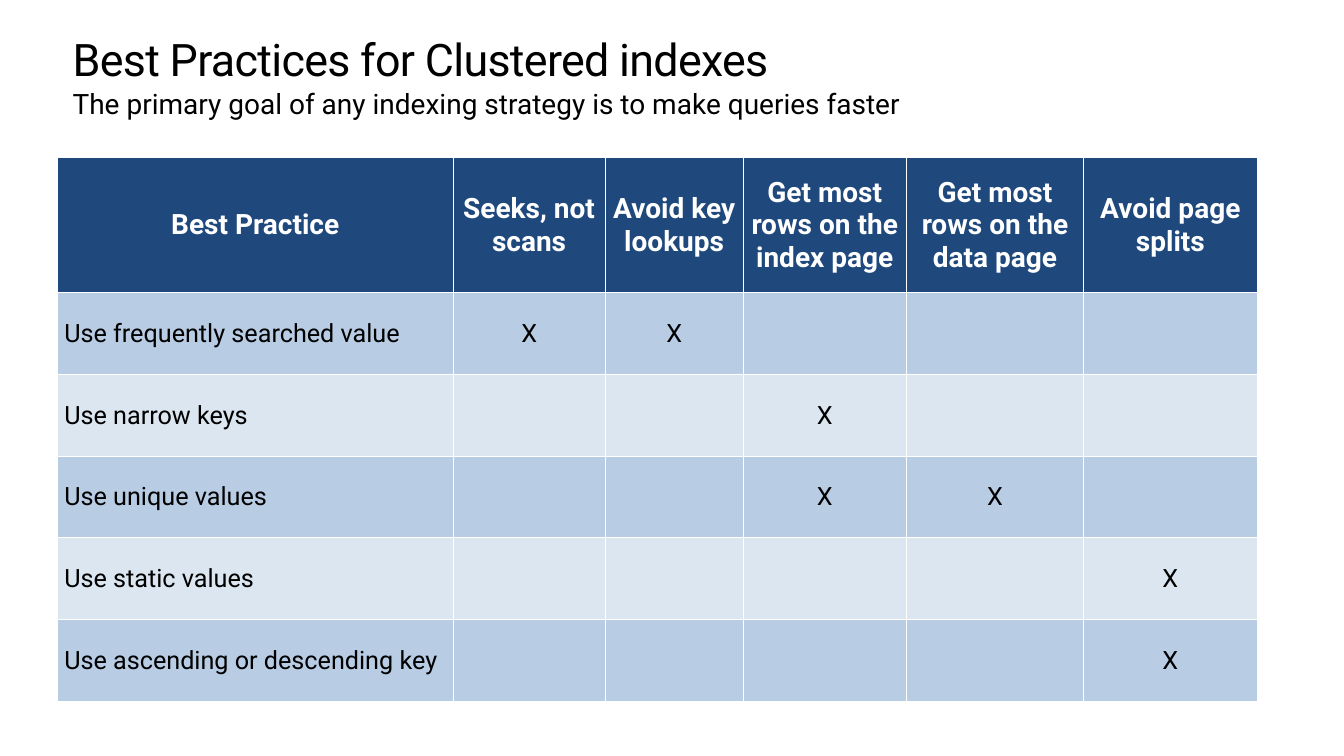
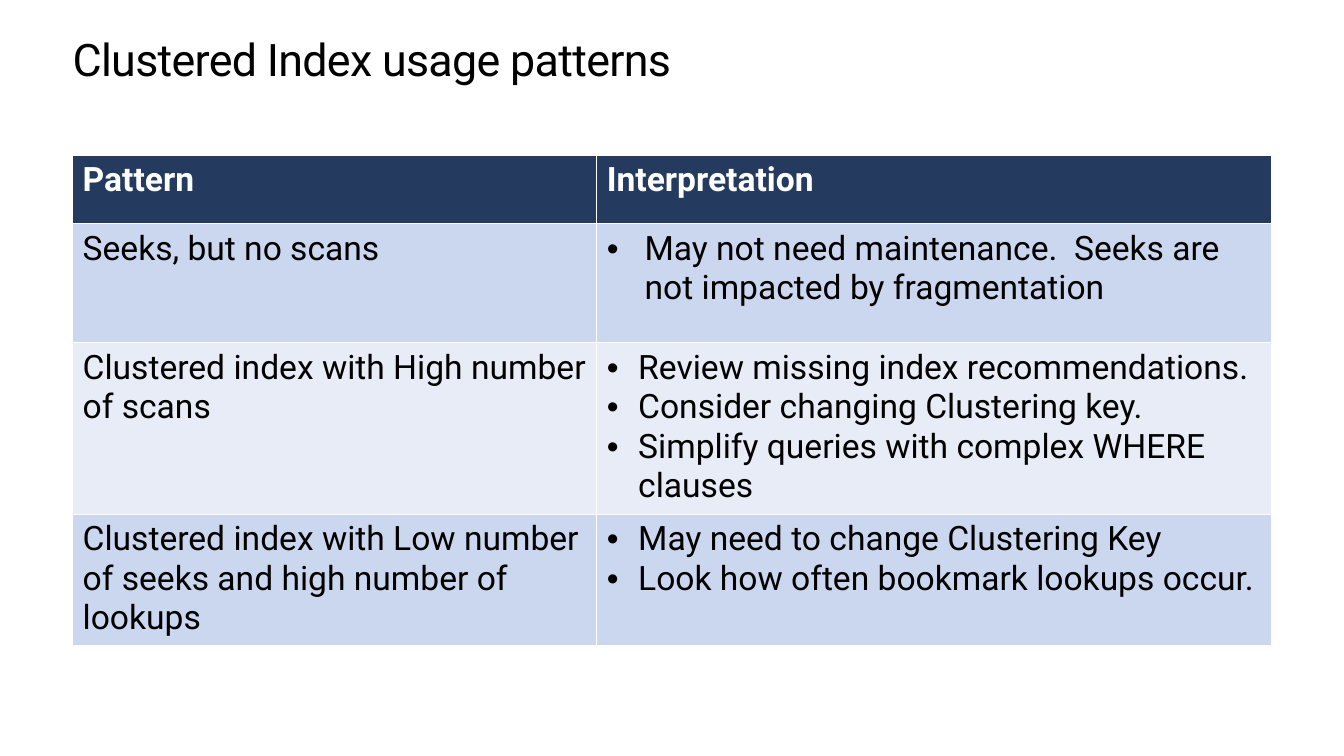
from lxml import etree
from pptx import Presentation
from pptx.dml.color import RGBColor
from pptx.enum import text
from pptx.oxml import ns
from pptx.util import Cm, Pt

FONT = "Roboto"
COLORS = {
    "ink": "000000",
    "paper": "FFFFFF",
    "practice_head": "1F497D",
    "practice_odd": "B8CCE4",
    "practice_even": "DCE6F1",
    "pattern_head": "243A5E",
    "pattern_odd": "CBD6EF",
    "pattern_even": "E7ECF7",
}
LEFT, WIDTH = 1.83, 30.23


def add_heading(slide, words, top, size):
    heading = slide.shapes.add_textbox(Cm(LEFT), Cm(top), Cm(WIDTH), Cm(1.27))
    frame = heading.text_frame
    frame.word_wrap = True
    frame.margin_left = frame.margin_right = frame.margin_top = frame.margin_bottom = 0
    frame.text = words
    run = frame.paragraphs[0].runs[0]
    run.font.name, run.font.size = FONT, Pt(size)
    run.font.color.rgb = RGBColor.from_string(COLORS["ink"])
    return heading


def fill_cell(cell, words, scheme, row, size, border=None):
    cell.text_frame.text = words
    properties = cell._tc.get_or_add_tcPr()
    for side in "LRTB" if border else "":
        line = etree.SubElement(properties, ns.qn(f"a:ln{side}"), w=str(Pt(border)))
        solid = etree.SubElement(line, ns.qn("a:solidFill"))
        etree.SubElement(solid, ns.qn("a:srgbClr"), val=COLORS["paper"])
    shade = "head" if row == 0 else "odd" if row % 2 else "even"
    cell.fill.solid()
    cell.fill.fore_color.rgb = RGBColor.from_string(COLORS[f"{scheme}_{shade}"])
    for paragraph in cell.text_frame.paragraphs:
        for run in paragraph.runs:
            run.font.name, run.font.size, run.font.bold = FONT, Pt(size), row == 0
            run.font.color.rgb = RGBColor.from_string(COLORS["ink" if row else "paper"])


deck = Presentation()
deck.slide_width, deck.slide_height = Cm(33.87), Cm(19.05)
blank = deck.slide_layouts[6]
practice_slide, pattern_slide = [deck.slides.add_slide(blank) for _ in range(2)]
for slide, words in (
    (practice_slide, "Best Practices for Clustered indexes"),
    (pattern_slide, "Clustered Index usage patterns"),
):
    title = add_heading(slide, words, 0.89, 32)
    title.fill.solid()
    title.fill.fore_color.rgb = RGBColor.from_string(COLORS["paper"])
    title.text_frame.auto_size = text.MSO_AUTO_SIZE.SHAPE_TO_FIT_TEXT
    title_line = title.text_frame.paragraphs[0]
    title_line.line_spacing = Pt(36.2)
    title_line.runs[0].font._element.set("spc", "-50")

add_heading(practice_slide,
            "The primary goal of any indexing strategy is to make queries faster", 2.18, 20)

goals = ["Best Practice", "Seeks, not scans", "Avoid key lookups",
         "Get most rows on the index page", "Get most rows on the data page",
         "Avoid page splits"]
practices = [
    ("Use frequently searched value", {1, 2}),
    ("Use narrow keys", {3}),
    ("Use unique values", {3, 4}),
    ("Use static values", {5}),
    ("Use ascending or descending key", {5}),
]
practice_rows = [goals] + [
    [practice] + ["X" if column in met else "" for column in range(1, len(goals))]
    for practice, met in practices
]
practice_table = practice_slide.shapes.add_table(
    len(practice_rows), len(goals), Cm(1.45), Cm(3.97), Cm(WIDTH), Cm(13.7)).table
practice_table.horz_banding = False
for column, width in zip(practice_table.columns, (9.97, 3.83, 3.48, 4.11, 4.47, 4.37)):
    column.width = Cm(width)
for row, entries in enumerate(practice_rows):
    practice_table.rows[row].height = Cm(2.06 if row else 3.4)
    for column, words in enumerate(entries):
        cell = practice_table.cell(row, column)
        is_label = row > 0 and column == 0
        cell.margin_left = Cm(0.17 if is_label else 0.02)
        cell.margin_right = cell.margin_top = Cm(0.02)
        cell.margin_bottom = 0
        cell.vertical_anchor = text.MSO_ANCHOR.MIDDLE
        fill_cell(cell, words, "practice", row, 18 if row else 20, 0.5)
        if not is_label:
            cell.text_frame.paragraphs[0].alignment = text.PP_ALIGN.CENTER

pattern_rows = [
    ("Pattern", ["Interpretation"], 1.73, 0),
    ("Seeks, but no scans",
     ["May not need maintenance.  Seeks are not impacted by fragmentation"], 3, 0.95),
    ("Clustered index with High number of scans",
     ["Review missing index recommendations.", "Consider changing Clustering key.",
      "Simplify queries with complex WHERE clauses"], 4.26, 0.79),
    ("Clustered index with Low number of seeks and high number of lookups",
     ["May need to change Clustering Key", "Look how often bookmark lookups occur."], 3, 0.79),
]
pattern_table = pattern_slide.shapes.add_table(
    len(pattern_rows), 2, Cm(LEFT), Cm(3.91), Cm(WIDTH), Cm(12)).table
pattern_table.horz_banding = False
for column, width in zip(pattern_table.columns, (13.21, 17)):
    column.width = Cm(width)
for row, (pattern, interpretations, height, indent) in enumerate(pattern_rows):
    pattern_table.rows[row].height = Cm(height)
    for column, words in enumerate((pattern, "\n".join(interpretations))):
        fill_cell(pattern_table.cell(row, column), words, "pattern", row, 24)
    if indent:
        for paragraph in pattern_table.cell(row, 1).text_frame.paragraphs:
            properties = paragraph._p.get_or_add_pPr()
            properties.set("marL", str(Cm(indent)))
            properties.set("indent", str(-Cm(indent)))
            etree.SubElement(properties, ns.qn("a:buFont"), typeface="Arial")
            etree.SubElement(properties, ns.qn("a:buChar"), char="•")

deck.save("out.pptx")
